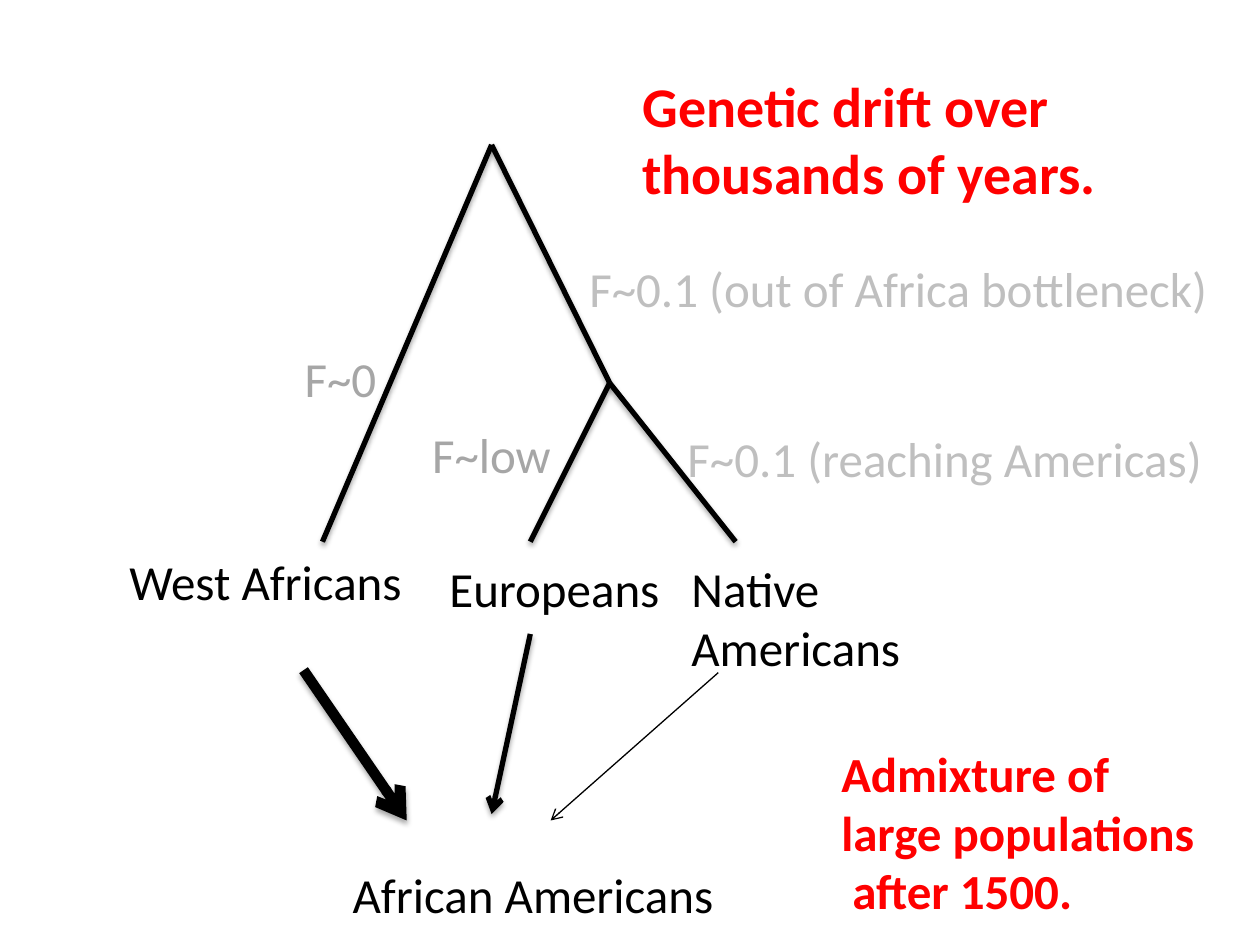
from lxml.etree import SubElement as Sub
from pptx import Presentation
from pptx.dml.color import RGBColor
from pptx.enum.shapes import MSO_CONNECTOR as Kind
from pptx.enum.text import MSO_AUTO_SIZE as Fit
from pptx.oxml.ns import qn
from pptx.util import Cm, Pt

BLACK, RED, GREY, PALE = "000000", "FF0000", "A6A6A6", "BFBFBF"


def color(code):
    return RGBColor.from_string(code)


def add_text(slide, x, y, w, h, text, code=BLACK, size=28, bold=False):
    box = slide.shapes.add_textbox(Cm(x), Cm(y), Cm(w), Cm(h))
    frame = box.text_frame
    frame.word_wrap = False
    frame.auto_size = Fit.SHAPE_TO_FIT_TEXT
    frame.text = text
    for para in frame.paragraphs:
        for run in para.runs:
            font = run.font
            font.name, font.size, font.bold = "Calibri", Pt(size), bold
            font.color.rgb = color(code)


def add_line(slide, box, start, end, width=3, arrow=False, shadow=True):
    left, top = box
    line = slide.shapes.add_connector(
        Kind.STRAIGHT,
        Cm(left + start[0]), Cm(top + start[1]),
        Cm(left + end[0]), Cm(top + end[1]))
    line.line.color.rgb = color(BLACK)
    line.line.width = Pt(width)
    props = line._element.spPr
    if arrow:
        Sub(props.find(qn("a:ln")), qn("a:tailEnd"), type="arrow")
    effect = Sub(props, qn("a:effectLst"))
    if shadow:
        outer = Sub(effect, qn("a:outerShdw"), blurRad=str(Pt(3.1)),
                    dist=str(Pt(1.8)), dir="5400000", rotWithShape="0")
        tint = Sub(outer, qn("a:srgbClr"), val=BLACK)
        Sub(tint, qn("a:alpha"), val="35000")


def add_tree(slide, box):
    left, top = box
    # Branches
    root, fork = (3.41, 0), (5.79, 4.8)
    west, euro, native = (0, 8), (4.19, 8), (8.33, 8)
    for start, end in ((root, west), (root, fork),
                       (fork, native), (fork, euro)):
        add_line(slide, box, start, end)
    # Drift along each branch
    for x, y, w, text, code in (
            (5.13, 2.16, 13.13, "F~0.1 (out of Africa bottleneck)", PALE),
            (7.11, 5.59, 11, "F~0.1 (reaching Americas)", PALE),
            (-0.61, 3.99, 1.98, "F~0", GREY),
            (1.96, 5.51, 2.92, "F~low", GREY)):
        add_text(slide, left + x, top + y, w, 1.45, text, code)


def add_mix(slide, box):
    left, top = box
    # Populations
    for x, y, w, h, text in (
            (0, 0, 6.07, 1.45, "West Africans"),
            (6.45, 0.13, 4.8, 1.45, "Europeans"),
            (11.33, 0.13, 4.78, 2.64, "Native\nAmericans"),
            (4.5, 6.3, 7.87, 1.45, "African Americans")):
        add_text(slide, left + x, top + y, w, h, text)
    # Gene flow, thicker for a larger share
    for start, end, width, shadow in (
            ((3.76, 2.51), (5.84, 5.54), 6, True),
            ((8.33, 1.78), (7.55, 5.41), 3, True),
            ((12.12, 2.56), (8.74, 5.54), 0.75, False)):
        add_line(slide, box, start, end, width, True, shadow)


def main():
    deck = Presentation()
    deck.slide_width, deck.slide_height = Cm(25.4), Cm(19.05)
    slide = deck.slides.add_slide(deck.slide_layouts[6])
    add_tree(slide, (6.5, 2.92))
    add_mix(slide, (2.36, 11))
    # Red remarks
    add_text(slide, 12.7, 1.32, 9.73, 3,
             "Genetic drift over\nthousands of years.", RED, 32, True)
    add_text(slide, 16.71, 14.86, 7.72, 3.84,
             "Admixture of\nlarge populations\n after 1500.", RED, 28, True)
    deck.save("out.pptx")


if __name__ == "__main__":
    main()
